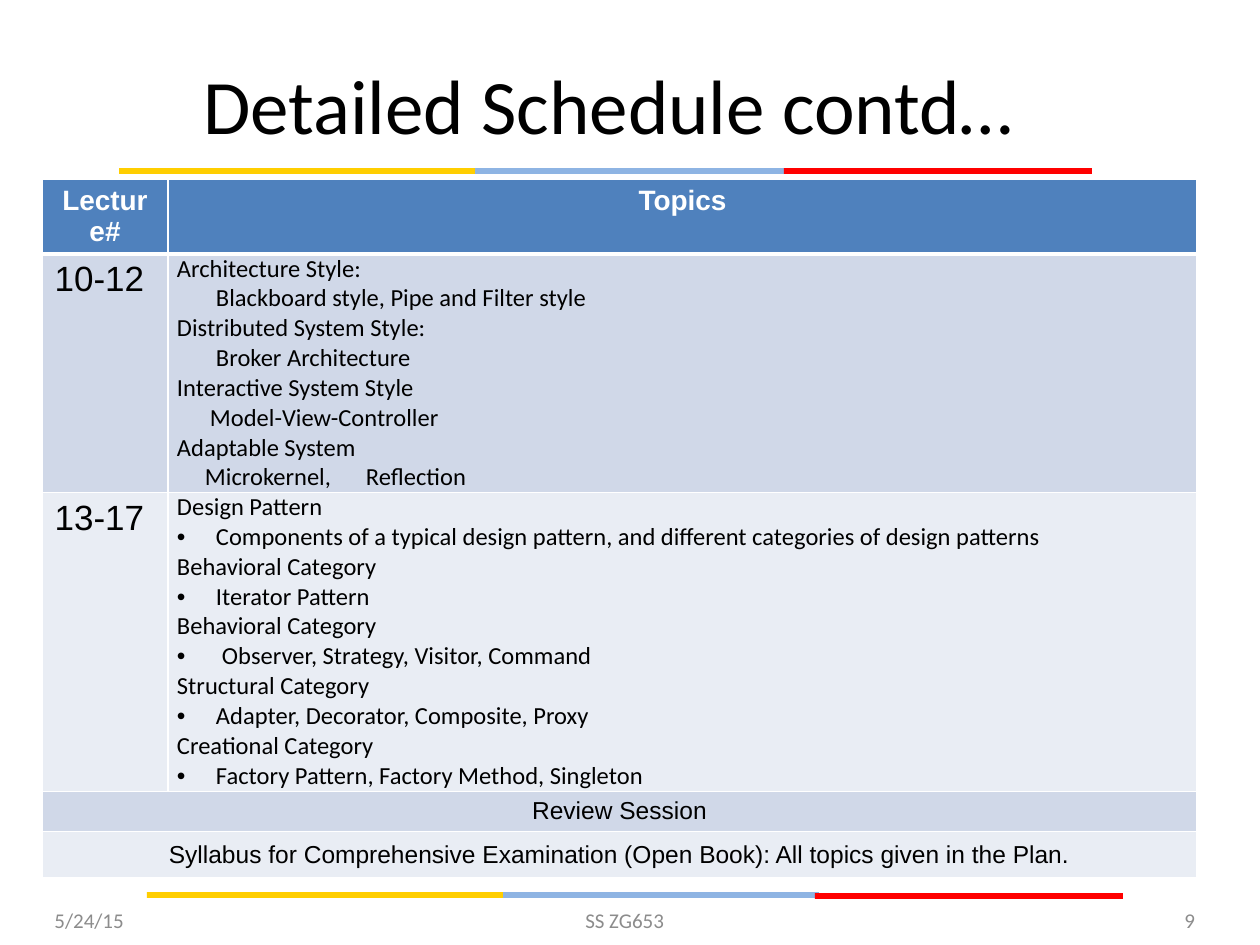
"""Build the detailed lecture schedule slide."""
from dataclasses import dataclass

import pptx
import pptx.dml.color
import pptx.enum.shapes
import pptx.enum.text
import pptx.oxml
import pptx.oxml.ns
import pptx.util

EMU_PER_PX = 914400 / 126
ALIGN = pptx.enum.text.PP_ALIGN
ANCHOR = pptx.enum.text.MSO_ANCHOR
COLORS = {
    "yellow": "FFCE00", "blue": "8EB4E3", "red": "FF0000", "header": "4F81BD",
    "dark_band": "D0D8E8", "light_band": "E9EDF4", "white": "FFFFFF",
    "black": "000000", "gray": "8C8C8C",
}


@dataclass(frozen=True)
class Style:
    size: int
    font: str = "Arial"
    color: str = "black"
    bold: bool = False
    align: ALIGN = ALIGN.LEFT


@dataclass(frozen=True)
class Line:
    text: str
    first_indent: int = 0
    bullet: bool = False
    tab: int = 0


@dataclass(frozen=True)
class Bar:
    left: int
    top: int
    width: int
    color: str


@dataclass(frozen=True)
class Label:
    text: str
    left: int
    top: int
    width: int
    height: int
    style: Style
    right_inset: int = 13


@dataclass(frozen=True)
class Cell:
    row: int
    column: int
    lines: tuple[Line, ...]
    style: Style
    fill: str
    anchor: ANCHOR = ANCHOR.TOP
    tight: bool = False
    spans: bool = False


HEADER = Style(16, color="white", bold=True, align=ALIGN.CENTER)
LECTURE = Style(20)
TOPIC = Style(14, "Calibri")
CLOSING = Style(14, align=ALIGN.CENTER)
BULLET_INDENT = 39
COLUMNS = (126, 1029)
ROWS = (74, 238, 299, 40, 46)

BARS = (
    Bar(470, 168, 321, "blue"), Bar(784, 168, 308, "red"), Bar(119, 168, 356, "yellow"),
    Bar(498, 892, 321, "blue"), Bar(815, 893, 308, "red"), Bar(147, 892, 356, "yellow"),
)
LABELS = (
    Label("Detailed Schedule contd…", 42, 39, 1134, 130,
          Style(44, "Calibri", align=ALIGN.CENTER)),
    Label("5/24/15", 42, 895, 294, 50, Style(12, "Calibri", "gray")),
    Label("SS ZG653", 431, 895, 399, 50,
          Style(12, "Calibri", "gray", align=ALIGN.CENTER), 24),
    Label("9", 914, 895, 294, 50, Style(12, "Calibri", "gray", align=ALIGN.RIGHT)),
)
STYLES = (
    Line("Architecture Style:"),
    Line("Blackboard style, Pipe and Filter style", 39),
    Line("Distributed System Style:"),
    Line("Broker Architecture", 39),
    Line("Interactive System Style"),
    Line("Model-View-Controller", 33),
    Line("Adaptable System"),
    Line("Microkernel,\tReflection", 28, tab=176),
)
PATTERNS = (
    Line("Design Pattern"),
    Line("Components of a typical design pattern, and different categories of design patterns",
         bullet=True),
    Line("Behavioral Category"),
    Line("Iterator Pattern", bullet=True),
    Line("Behavioral Category"),
    Line("Observer, Strategy, Visitor, Command", 6, bullet=True),
    Line("Structural Category"),
    Line("Adapter, Decorator, Composite, Proxy", bullet=True),
    Line("Creational Category"),
    Line("Factory Pattern, Factory Method, Singleton", bullet=True),
)
CELLS = (
    Cell(0, 0, (Line("Lecture#"),), HEADER, "header"),
    Cell(0, 1, (Line("Topics"),), HEADER, "header"),
    Cell(1, 0, (Line("10-12"),), LECTURE, "dark_band"),
    Cell(1, 1, STYLES, TOPIC, "dark_band", tight=True),
    Cell(2, 0, (Line("13-17"),), LECTURE, "light_band"),
    Cell(2, 1, PATTERNS, TOPIC, "light_band", tight=True),
    Cell(3, 0, (Line("Review Session"),), CLOSING, "dark_band", ANCHOR.MIDDLE, spans=True),
    Cell(4, 0, (Line("Syllabus for Comprehensive Examination (Open Book): "
                     "All topics given in the Plan."),),
         CLOSING, "light_band", ANCHOR.MIDDLE, spans=True),
)


def px(length: int) -> pptx.util.Emu:
    return pptx.util.Emu(round(length * EMU_PER_PX))


def rgb(name: str) -> pptx.dml.color.RGBColor:
    return pptx.dml.color.RGBColor.from_string(COLORS[name])


def add_element(parent, markup: str) -> None:
    tag, rest = markup.split(" ", 1)
    namespace = pptx.oxml.ns.nsdecls("a")
    parent.append(pptx.oxml.parse_xml(f"<a:{tag} {namespace} {rest}"))


def write_line(paragraph, line: Line, style: Style) -> None:
    properties = paragraph._p.get_or_add_pPr()
    if line.bullet:
        margin = BULLET_INDENT + line.first_indent
        properties.set("marL", str(px(margin)))
        properties.set("indent", str(-px(margin)))
        add_element(properties, 'buFont typeface="Arial"/>')
        add_element(properties, 'buChar char="•"/>')
    elif line.first_indent:
        properties.set("marL", "0")
        properties.set("indent", str(px(line.first_indent)))
    if line.tab:
        add_element(properties, f'tabLst ><a:tab pos="{px(line.tab)}" algn="l"/></a:tabLst>')
    paragraph.alignment = style.align
    run = paragraph.add_run()
    run.text = line.text
    run.font.size = pptx.util.Pt(style.size)
    run.font.name = style.font
    run.font.bold = style.bold
    run.font.color.rgb = rgb(style.color)


def add_bar(slide, bar: Bar) -> None:
    shape = slide.shapes.add_shape(pptx.enum.shapes.MSO_SHAPE.RECTANGLE, px(bar.left),
                                   px(bar.top), px(bar.width), px(6))
    shape.shadow.inherit = False
    shape.fill.solid()
    shape.fill.fore_color.rgb = rgb(bar.color)
    shape.line.fill.background()


def add_label(slide, label: Label) -> None:
    shape = slide.shapes.add_textbox(px(label.left), px(label.top),
                                     px(label.width), px(label.height))
    frame = shape.text_frame
    frame.word_wrap = True
    frame.vertical_anchor = ANCHOR.MIDDLE
    frame.margin_right = px(label.right_inset)
    write_line(frame.paragraphs[0], Line(label.text), label.style)


def format_cell(target, fill: str, header: bool) -> None:
    properties = target._tc.get_or_add_tcPr()
    for side in "LRTB":
        width = pptx.util.Pt(3 if header and side == "B" else 1)
        add_element(properties, f'ln{side} w="{width}"><a:solidFill><a:srgbClr '
                                f'val="{COLORS["white"]}"/></a:solidFill></a:ln{side}>')
    target.fill.solid()
    target.fill.fore_color.rgb = rgb(fill)


def fill_cell(table, cell: Cell) -> None:
    target = table.cell(cell.row, cell.column)
    format_cell(target, cell.fill, cell.row == 0)
    if cell.spans:
        last = table.cell(cell.row, len(COLUMNS) - 1)
        format_cell(last, cell.fill, False)
        target.merge(last)
    target.vertical_anchor = cell.anchor
    if cell.tight:
        target.margin_left = target.margin_right = px(9)
        target.margin_top = target.margin_bottom = 0
    frame = target.text_frame
    for index, line in enumerate(cell.lines):
        paragraph = frame.add_paragraph() if index else frame.paragraphs[0]
        write_line(paragraph, line, cell.style)


def add_schedule(slide) -> None:
    table = slide.shapes.add_table(len(ROWS), len(COLUMNS), px(42), px(179),
                                   px(sum(COLUMNS)), px(sum(ROWS))).table
    for column, width in zip(table.columns, COLUMNS):
        column.width = px(width)
    for row, height in zip(table.rows, ROWS):
        row.height = px(height)
    for cell in CELLS:
        fill_cell(table, cell)


def main() -> None:
    presentation = pptx.Presentation()
    presentation.slide_width, presentation.slide_height = px(1260), px(945)
    slide = presentation.slides.add_slide(presentation.slide_layouts[6])
    for bar in BARS:
        add_bar(slide, bar)
    add_schedule(slide)
    for label in LABELS:
        add_label(slide, label)
    presentation.save("out.pptx")


if __name__ == "__main__":
    main()
